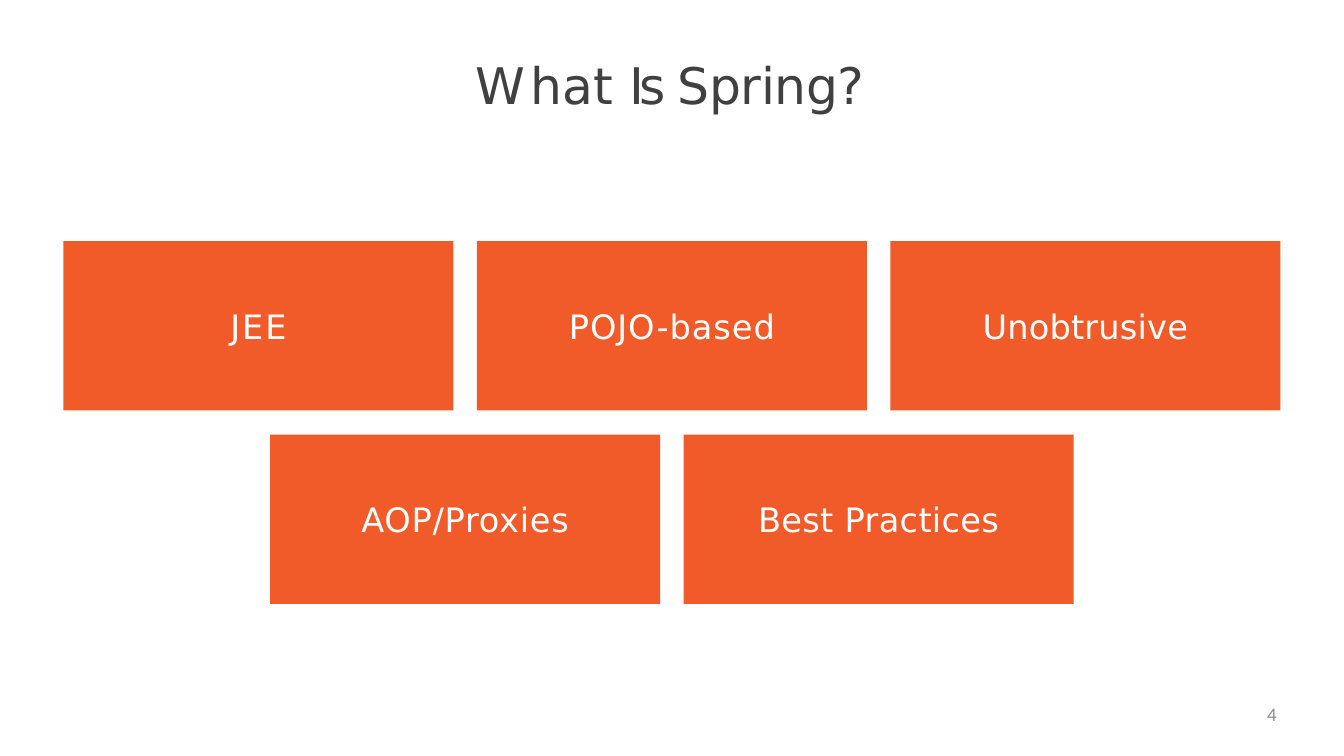
from typing import NamedTuple

from pptx import Presentation
from pptx.dml.color import RGBColor
from pptx.enum.shapes import MSO_SHAPE
from pptx.enum.text import MSO_ANCHOR, PP_ALIGN
from pptx.util import Inches, Pt

RECTANGLE = MSO_SHAPE.RECTANGLE
TOP, MIDDLE = MSO_ANCHOR.TOP, MSO_ANCHOR.MIDDLE
LEFT, CENTER, RIGHT = PP_ALIGN.LEFT, PP_ALIGN.CENTER, PP_ALIGN.RIGHT

PAGE_WIDTH, PAGE_HEIGHT = 17.78, 10
CARD_WIDTH, CARD_HEIGHT = 5.16, 2.24
GAP = 0.31
FIRST_ROW_TOP, ROW_PITCH = 3.19, 2.56


class Span(NamedTuple):
    text: str
    spacing: float = 0  # letter spacing in points


class Style(NamedTuple):
    font: str
    size: float
    color: str
    align: PP_ALIGN
    anchor: MSO_ANCHOR


TITLE_STYLE = Style("DejaVu Sans", 48, "404040", LEFT, TOP)
CARD_STYLE = Style("DejaVu Sans", 32, "FFFFFF", CENTER, MIDDLE)
NUMBER_STYLE = Style("Calibri", 18, "8C8C8C", RIGHT, TOP)

TITLE = [Span("W", 4.9), Span("h", -1.1), Span("a", -1.4),
         Span("t ", 0.2), Span("Is ", -4.2), Span("Spring?", -0.4)]
CARD_ROWS = [
    [Span("JEE", 1.9), Span("POJO-based", 0.9), Span("Unobtrusive", 0.2)],
    [Span("AOP/Proxies", 0.7), Span("Best Practices", 0.3)],
]


def color(value: str) -> RGBColor:
    return RGBColor.from_string(value)


def write(box, spans: list[Span], style: Style) -> None:
    frame = box.text_frame
    frame.word_wrap = style.align != LEFT
    frame.vertical_anchor = style.anchor
    frame.margin_left = frame.margin_right = Inches(0)
    frame.margin_top = frame.margin_bottom = Inches(0)
    para = frame.paragraphs[0]
    para.alignment = style.align
    para.font.name = style.font
    para.font.size = Pt(style.size)
    para.font.color.rgb = color(style.color)
    for span in spans:
        run = para.add_run()
        run.text = span.text
        if span.spacing:
            run._r.get_or_add_rPr().set("spc", str(round(span.spacing * 100)))


def add_text(page, left: float, top: float, width: float, height: float,
             spans: list[Span], style: Style) -> None:
    box = page.shapes.add_textbox(Inches(left), Inches(top),
                                  Inches(width), Inches(height))
    write(box, spans, style)


def add_card(page, left: float, top: float, label: Span) -> None:
    card = page.shapes.add_shape(RECTANGLE, Inches(left), Inches(top),
                                 Inches(CARD_WIDTH), Inches(CARD_HEIGHT))
    card.shadow.inherit = False
    card.fill.solid()
    card.fill.fore_color.rgb = color("F15B2A")
    card.line.fill.background()
    write(card, [label], CARD_STYLE)


def main() -> None:
    deck = Presentation()
    deck.slide_width = Inches(PAGE_WIDTH)
    deck.slide_height = Inches(PAGE_HEIGHT)
    page = deck.slides.add_slide(deck.slide_layouts[6])

    # Title
    add_text(page, 6.29, 0.72, 5.21, 0.82, TITLE, TITLE_STYLE)

    # Cards, each row centred on the page
    for row, labels in enumerate(CARD_ROWS):
        row_width = len(labels) * (CARD_WIDTH + GAP) - GAP
        row_left = (PAGE_WIDTH - row_width) / 2
        for column, label in enumerate(labels):
            add_card(page, row_left + column * (CARD_WIDTH + GAP),
                     FIRST_ROW_TOP + row * ROW_PITCH, label)

    # Page number
    add_text(page, 12.8, 9.3, 4.09, 0.5, [Span("4")], NUMBER_STYLE)

    deck.save("out.pptx")


if __name__ == "__main__":
    main()
